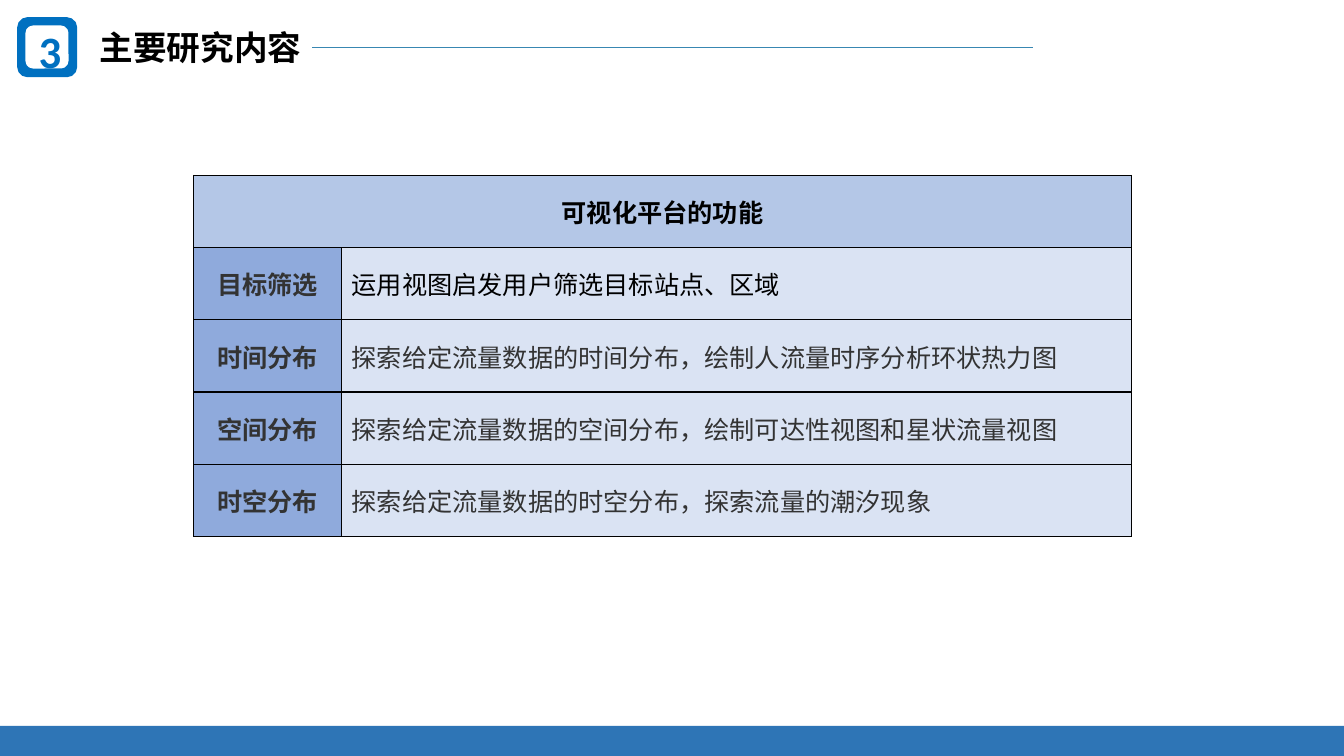
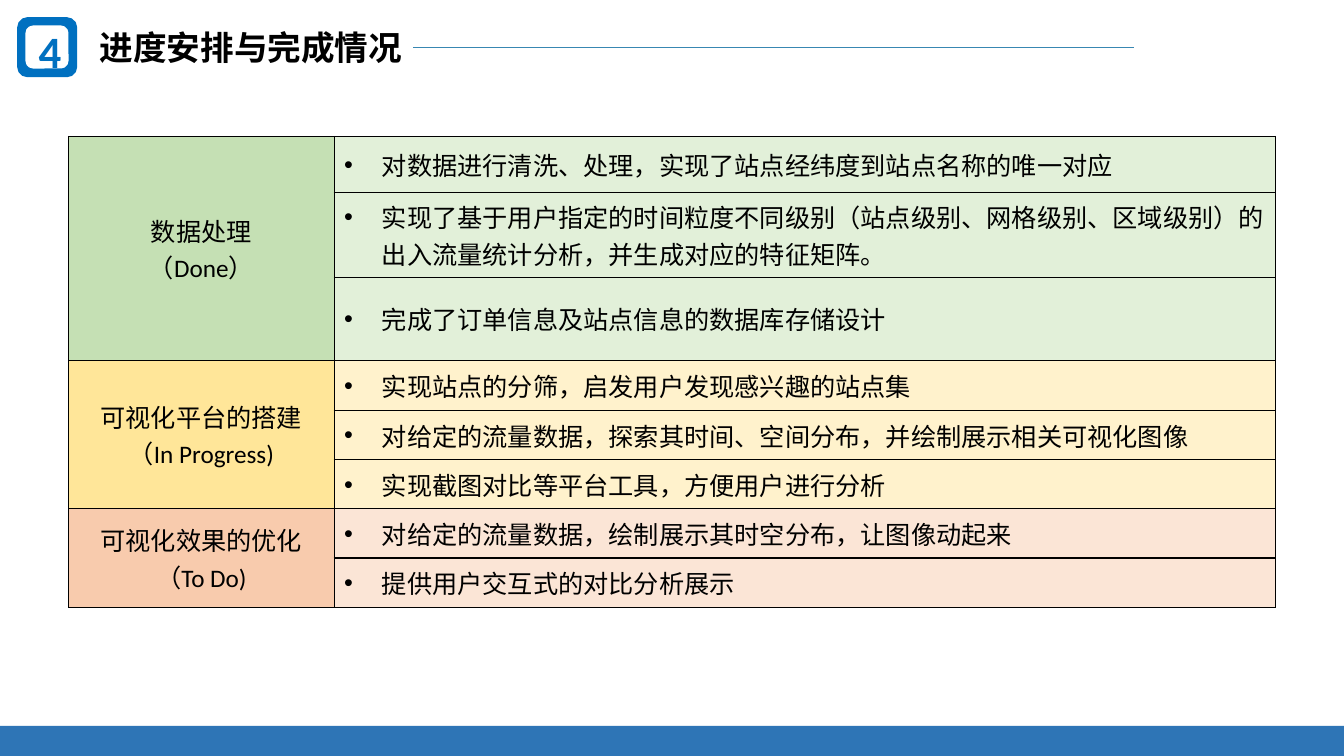
from dataclasses import dataclass
from typing import Any

import pptx
import pptx.dml.color
import pptx.enum.shapes
import pptx.enum.text
import pptx.oxml
import pptx.oxml.ns
import pptx.util
from pptx.util import Cm

ALIGN = pptx.enum.text.PP_ALIGN
ANCHOR = pptx.enum.text.MSO_ANCHOR
SHAPE = pptx.enum.shapes.MSO_SHAPE


@dataclass(frozen=True)
class Theme:
    cjk: str = "Noto Sans CJK SC"
    latin: str = "Calibri"
    title_size: int = 24
    badge_size: int = 32
    body_size: int = 18
    black: str = "000000"
    grey: str = "333333"
    white: str = "FFFFFF"
    footer: str = "2E75B6"
    badge: str = "0070C0"
    rule: str = "3887B2"
    header_fill: str = "B4C7E7"
    label_fill: str = "8FAADC"
    detail_fill: str = "DAE3F3"


THEME = Theme()
SLIDE_WIDTH, SLIDE_HEIGHT = 33.87, 19.05
BULLET_INDENT = 0.95


@dataclass(frozen=True)
class Feature:
    label: str
    detail: str
    color: str = THEME.grey


@dataclass(frozen=True)
class Task:
    text: str
    height: float = 1.24


@dataclass(frozen=True)
class Stage:
    heading: tuple[str, ...]
    label_fill: str
    task_fill: str
    tasks: tuple[Task, ...]


FEATURES = (
    Feature("目标筛选", "运用视图启发用户筛选目标站点、区域", THEME.black),
    Feature("时间分布", "探索给定流量数据的时间分布，绘制人流量时序分析环状热力图"),
    Feature("空间分布", "探索给定流量数据的空间分布，绘制可达性视图和星状流量视图"),
    Feature("时空分布", "探索给定流量数据的时空分布，探索流量的潮汐现象"),
)

STAGES = (
    Stage(("数据处理", "（Done）"), "C5E0B4", "E2F0D9", (
        Task("对数据进行清洗、处理，实现了站点经纬度到站点名称的唯一对应", 1.42),
        Task("实现了基于用户指定的时间粒度不同级别（站点级别、网格级别、区域级别）的"
             "出入流量统计分析，并生成对应的特征矩阵。", 2.13),
        Task("完成了订单信息及站点信息的数据库存储设计", 1.78),
    )),
    Stage(("可视化平台的搭建", "（In Progress)"), "FFE699", "FFF2CC", (
        Task("实现站点的分筛，启发用户发现感兴趣的站点集", 1.26),
        Task("对给定的流量数据，探索其时间、空间分布，并绘制展示相关可视化图像"),
        Task("实现截图对比等平台工具，方便用户进行分析"),
    )),
    Stage(("可视化效果的优化", "（To Do)"), "F8CBAD", "FBE5D6", (
        Task("对给定的流量数据，绘制展示其时空分布，让图像动起来"),
        Task("提供用户交互式的对比分析展示"),
    )),
)


def rgb(color: str) -> pptx.dml.color.RGBColor:
    return pptx.dml.color.RGBColor.from_string(color)


def add_run(paragraph: Any, text: str, size: int, color: str = THEME.black,
            bold: bool = False, latin: str = THEME.cjk) -> None:
    run = paragraph.add_run()
    run.text = text
    run.font.size = pptx.util.Pt(size)
    run.font.bold = bold
    run.font.color.rgb = rgb(color)
    run.font.name = latin
    east_asian = pptx.oxml.parse_xml(
        f'<a:ea {pptx.oxml.ns.nsdecls("a")} typeface="{THEME.cjk}"/>')
    run.font._element.append(east_asian)


def add_block(shapes: Any, kind: Any, left: float, top: float,
              width: float, height: float, fill: str) -> Any:
    block = shapes.add_shape(kind, Cm(left), Cm(top), Cm(width), Cm(height))
    block.shadow.inherit = False
    block.fill.solid()
    block.fill.fore_color.rgb = rgb(fill)
    block.line.color.rgb = rgb(fill)
    block.line.width = pptx.util.Pt(1)
    return block


# Shared parts: footer on the master, numbered title on each slide
def add_footer(deck: Any, slide: Any) -> None:
    footer = add_block(slide.shapes, SHAPE.RECTANGLE, 0, 18.29,
                       SLIDE_WIDTH, 0.76, THEME.footer)
    footer.line.fill.background()
    footer.element.nvSpPr.cNvPr.set("id", "100")
    deck.slide_master.shapes.element.insert(2, footer.element)


def add_section(deck: Any, number: str, heading: str) -> Any:
    slide = deck.slides.add_slide(deck.slide_layouts[5])
    title = slide.shapes.title
    left, top, height = 2.26, 0.56, 1.27
    width = 0.51 + 0.85 * len(heading)
    title.left, title.top = Cm(left), Cm(top)
    title.width, title.height = Cm(width), Cm(height)
    frame = title.text_frame
    frame.word_wrap = False
    frame.auto_size = pptx.enum.text.MSO_AUTO_SIZE.NONE
    frame.vertical_anchor = ANCHOR.MIDDLE
    frame.paragraphs[0].alignment = ALIGN.LEFT
    add_run(frame.paragraphs[0], heading, THEME.title_size, bold=True)

    # Number badge
    add_block(slide.shapes, SHAPE.ROUNDED_RECTANGLE, 0.45, 0.45, 1.48, 1.48, THEME.badge)
    badge = add_block(slide.shapes, SHAPE.ROUNDED_RECTANGLE,
                      0.66, 0.66, 1.05, 1.05, THEME.white)
    frame = badge.text_frame
    frame.word_wrap = False
    frame.vertical_anchor = ANCHOR.MIDDLE
    frame.margin_left, frame.margin_top = Cm(0.15), Cm(0.2)
    frame.margin_right = frame.margin_bottom = 0
    frame.paragraphs[0].alignment = ALIGN.CENTER
    add_run(frame.paragraphs[0], number, THEME.badge_size, THEME.badge, True, THEME.latin)

    # Rule after the title
    rule_left, rule_y = left + width, top + height / 2
    rule = slide.shapes.add_connector(
        pptx.enum.shapes.MSO_CONNECTOR.STRAIGHT,
        Cm(rule_left), Cm(rule_y), Cm(rule_left + 18.16), Cm(rule_y))
    rule.line.color.rgb = rgb(THEME.rule)
    rule.line.width = pptx.util.Pt(1)
    rule.element.spPr.append(
        pptx.oxml.parse_xml(f'<a:effectLst {pptx.oxml.ns.nsdecls("a")}/>'))
    return slide


# Table helpers
def add_grid(slide: Any, left: float, top: float,
             widths: list[float], heights: list[float]) -> Any:
    table = slide.shapes.add_table(len(heights), len(widths), Cm(left), Cm(top),
                                   Cm(sum(widths)), Cm(sum(heights))).table
    table.first_row = table.horz_banding = False
    for column, width in zip(table.columns, widths):
        column.width = Cm(width)
    for row, height in zip(table.rows, heights):
        row.height = Cm(height)
    return table


def style_cell(cell: Any, fill: str) -> None:
    properties = cell._tc.get_or_add_tcPr()
    for side in ("lnL", "lnR", "lnT", "lnB"):
        properties.append(pptx.oxml.parse_xml(
            f'<a:{side} {pptx.oxml.ns.nsdecls("a")} w="12700"><a:solidFill>'
            f'<a:srgbClr val="{THEME.black}"/></a:solidFill></a:{side}>'))
    cell.fill.solid()
    cell.fill.fore_color.rgb = rgb(fill)
    cell.vertical_anchor = ANCHOR.MIDDLE


def write_cell(cell: Any, lines: tuple[str, ...], align: Any = ALIGN.LEFT,
               color: str = THEME.black, bold: bool = False,
               latin: str = THEME.cjk, bullet: bool = False) -> None:
    for index, line in enumerate(lines):
        frame = cell.text_frame
        paragraph = frame.add_paragraph() if index else frame.paragraphs[0]
        paragraph.alignment = align
        if bullet:
            add_bullet(paragraph)
        add_run(paragraph, line, THEME.body_size, color, bold, latin)


def add_bullet(paragraph: Any) -> None:
    properties = paragraph._p.get_or_add_pPr()
    properties.set("marL", str(Cm(BULLET_INDENT)))
    properties.set("indent", str(-Cm(BULLET_INDENT)))
    namespace = pptx.oxml.ns.nsdecls("a")
    for tag in ('buFont {} typeface="Arial"', 'buChar {} char="•"'):
        properties.append(pptx.oxml.parse_xml(f"<a:{tag.format(namespace)}/>"))


# Slide contents
def add_feature_table(slide: Any) -> None:
    table = add_grid(slide, 4.88, 4.42, [3.73, 19.9], [1.82] * (len(FEATURES) + 1))
    header = table.cell(0, 0)
    for column in range(2):
        style_cell(table.cell(0, column), THEME.header_fill)
    header.merge(table.cell(0, 1))
    write_cell(header, ("可视化平台的功能",), ALIGN.CENTER, bold=True)
    for row, feature in enumerate(FEATURES, start=1):
        label, detail = table.cell(row, 0), table.cell(row, 1)
        style_cell(label, THEME.label_fill)
        style_cell(detail, THEME.detail_fill)
        write_cell(label, (feature.label,), ALIGN.CENTER, THEME.grey, True)
        write_cell(detail, (feature.detail,), color=feature.color)


def add_progress_table(slide: Any) -> None:
    heights = [task.height for stage in STAGES for task in stage.tasks]
    table = add_grid(slide, 1.73, 3.44, [6.69, 23.73], heights)
    first = 0
    for stage in STAGES:
        for row, task in enumerate(stage.tasks, start=first):
            style_cell(table.cell(row, 0), stage.label_fill)
            style_cell(table.cell(row, 1), stage.task_fill)
            write_cell(table.cell(row, 1), (task.text,), bullet=True)
        heading = table.cell(first, 0)
        heading.merge(table.cell(first + len(stage.tasks) - 1, 0))
        write_cell(heading, stage.heading, ALIGN.CENTER, latin=THEME.latin)
        first += len(stage.tasks)


def main() -> None:
    deck = pptx.Presentation()
    deck.slide_width, deck.slide_height = Cm(SLIDE_WIDTH), Cm(SLIDE_HEIGHT)
    research = add_section(deck, "3", "主要研究内容")
    add_footer(deck, research)
    add_feature_table(research)
    progress = add_section(deck, "4", "进度安排与完成情况")
    add_progress_table(progress)
    deck.save("out.pptx")


if __name__ == "__main__":
    main()
